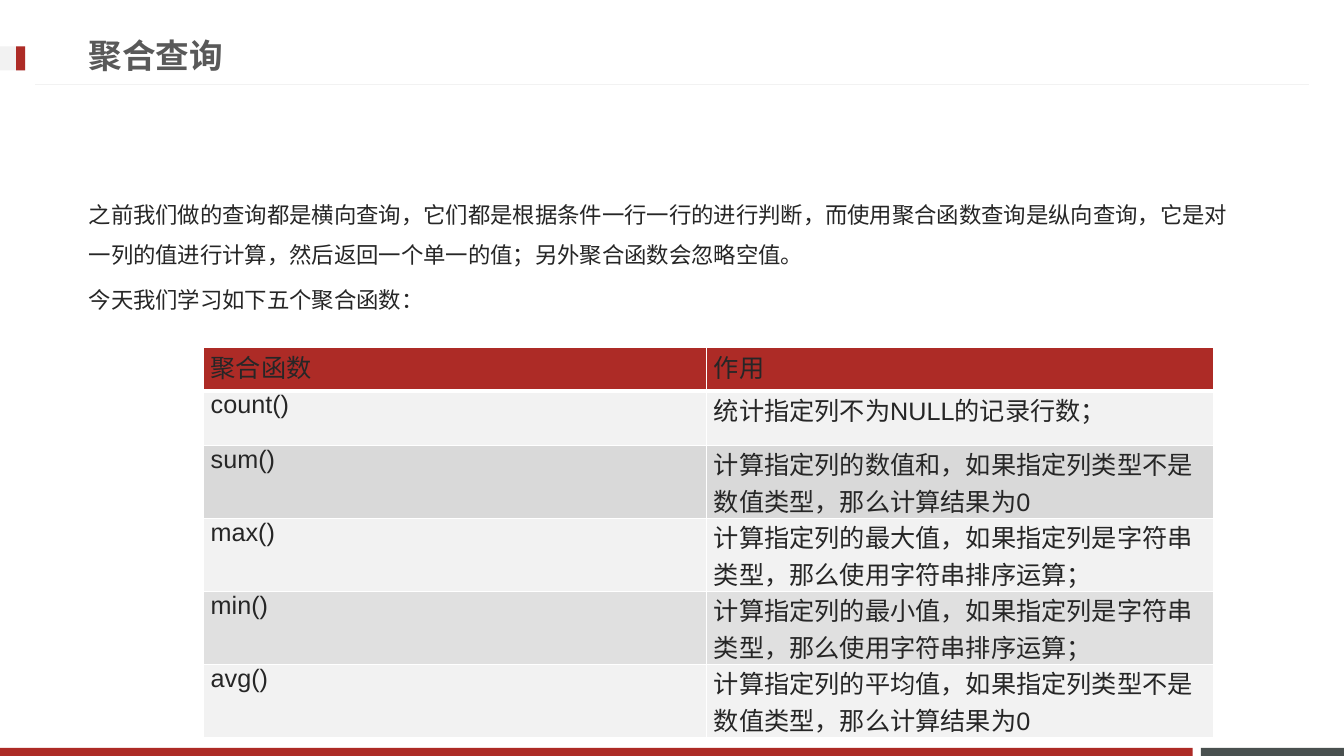
from dataclasses import dataclass

from lxml.etree import SubElement
from pptx import Presentation
from pptx.dml.color import RGBColor
from pptx.enum.lang import MSO_LANGUAGE_ID
from pptx.enum.shapes import MSO_CONNECTOR, MSO_SHAPE
from pptx.enum.text import MSO_ANCHOR, MSO_AUTO_SIZE, PP_ALIGN
from pptx.oxml.ns import qn
from pptx.util import Inches, Pt

WIDTH, HEIGHT = 13.33, 7.5


@dataclass(frozen=True)
class Theme:
    red: str = "AD2B26"
    slate: str = "49504F"
    pale: str = "F2F2F2"
    band: str = "D9D9D9"
    white: str = "FFFFFF"
    heading: str = "595959"
    text: str = "262626"
    latin: str = "Arial"
    cjk: str = "Noto Sans CJK JP"
    title_size: int = 24
    body_size: int = 16
    table_size: int = 18


THEME = Theme()

TITLE = "聚合查询"
BODY = [
    "之前我们做的查询都是横向查询，它们都是根据条件一行一行的进行判断，"
    "而使用聚合函数查询是纵向查询，它是对一列的值进行计算，"
    "然后返回一个单一的值；另外聚合函数会忽略空值。",
    "今天我们学习如下五个聚合函数：",
]
# Each row: function, purpose, fill, opacity in percent, height
FUNCTIONS = [
    ("聚合函数", "作用", THEME.red, 100, 0.43),
    ("count()", "统计指定列不为NULL的记录行数；", THEME.pale, 100, 0.54),
    ("sum()", "计算指定列的数值和，如果指定列类型不是数值类型，那么计算结果为0",
     THEME.band, 100, 0.54),
    ("max()", "计算指定列的最大值，如果指定列是字符串类型，那么使用字符串排序运算；",
     THEME.pale, 100, 0.54),
    ("min()", "计算指定列的最小值，如果指定列是字符串类型，那么使用字符串排序运算；",
     THEME.band, 80, 0.54),
    ("avg()", "计算指定列的平均值，如果指定列类型不是数值类型，那么计算结果为0",
     THEME.pale, 100, 0.43),
]
COLUMNS = (4.99, 5.03)


def rgb(color):
    return RGBColor.from_string(color)


def add_run(p, text, size, color, font, bold=False):
    r = p.add_run()
    r.text = text
    r.font.size, r.font.bold, r.font.name = Pt(size), bold, font
    r.font.color.rgb = rgb(color)
    r.font.language_id = MSO_LANGUAGE_ID.SIMPLIFIED_CHINESE
    SubElement(r._r.get_or_add_rPr(), qn("a:ea"), typeface=THEME.cjk)


def space_before(p, percent=20):
    p.space_before = Pt(0)
    spacing = p._p.pPr.find(qn("a:spcBef"))
    spacing.remove(spacing[0])
    SubElement(spacing, qn("a:spcPct"), val=str(percent * 1000))


def add_bar(s, left, top, width, height, color):
    sp = s.shapes.add_shape(MSO_SHAPE.RECTANGLE, *map(Inches, (left, top, width, height)))
    sp.shadow.inherit = False
    sp.fill.solid()
    sp.fill.fore_color.rgb = rgb(color)
    sp.line.fill.background()


def add_rule(s, left, right, y):
    line = s.shapes.add_connector(MSO_CONNECTOR.STRAIGHT, *map(Inches, (left, y, right, y)))
    line.line.color.rgb = rgb(THEME.pale)
    line.line.width = Pt(0.75)
    SubElement(line._element.spPr, qn("a:effectLst"))


def place(sp, left, top, width, height, anchor):
    sp.left, sp.top, sp.width, sp.height = map(Inches, (left, top, width, height))
    tf = sp.text_frame
    tf.word_wrap, tf.auto_size, tf.vertical_anchor = True, MSO_AUTO_SIZE.NONE, anchor
    return tf


def fill_title(sp):
    tf = place(sp, 0.78, 0.26, 9.59, 0.57, MSO_ANCHOR.MIDDLE)
    p = tf.paragraphs[0]
    p.alignment = PP_ALIGN.LEFT
    add_run(p, TITLE, THEME.title_size, THEME.heading, THEME.latin, bold=True)


def fill_body(sp):
    tf = place(sp, 0.78, 1.81, 11.7, 4.61, MSO_ANCHOR.TOP)
    for i, text in enumerate(BODY):
        p = tf.add_paragraph() if i else tf.paragraphs[0]
        p.line_spacing = 1.5
        space_before(p)
        pPr = p._p.get_or_add_pPr()
        pPr.set("marL", "0")
        pPr.set("indent", "0")
        SubElement(pPr, qn("a:buNone"))
        add_run(p, text, THEME.body_size, THEME.text, THEME.cjk)


def add_border(cell, side, width):
    ln = SubElement(cell._tc.get_or_add_tcPr(), qn(f"a:ln{side}"), w=str(Pt(width)))
    fill = SubElement(ln, qn("a:solidFill"))
    SubElement(fill, qn("a:srgbClr"), val=THEME.white)


def fill_cell(cell, text, color, opacity, widths):
    for side, width in widths.items():
        add_border(cell, side, width)
    cell.fill.solid()
    cell.fill.fore_color.rgb = rgb(color)
    if opacity < 100:
        clr = cell._tc.tcPr.find(qn("a:solidFill"))[0]
        SubElement(clr, qn("a:alpha"), val=str(opacity * 1000))
    cell.margin_left = cell.margin_right = Inches(0.07)
    cell.margin_top = cell.margin_bottom = 0
    p = cell.text_frame.paragraphs[0]
    space_before(p)
    add_run(p, text, THEME.table_size, THEME.text, THEME.latin)


def add_function_table(s):
    height = sum(row[-1] for row in FUNCTIONS)
    table = s.shapes.add_table(len(FUNCTIONS), len(COLUMNS), Inches(2.02), Inches(3.45),
                               Inches(sum(COLUMNS)), Inches(height)).table
    for column, width in zip(table.columns, COLUMNS):
        column.width = Inches(width)
    for i, (*texts, color, opacity, row_height) in enumerate(FUNCTIONS):
        table.rows[i].height = Inches(row_height)
        # A thicker line parts the header from the rows below
        widths = {"L": 1, "R": 1, "T": 3 if i == 1 else 1, "B": 3 if i == 0 else 1}
        for j, text in enumerate(texts):
            fill_cell(table.cell(i, j), text, color, opacity, widths)


def main():
    prs = Presentation()
    prs.slide_width, prs.slide_height = Inches(WIDTH), Inches(HEIGHT)
    s = prs.slides.add_slide(prs.slide_layouts[1])

    # Footer bars
    foot = 0.08
    add_bar(s, 11.91, HEIGHT - foot, WIDTH - 11.91, foot, THEME.slate)
    add_bar(s, 0, HEIGHT - foot, 11.83, foot, THEME.red)

    # Header rule and marker
    add_rule(s, 0.35, WIDTH - 0.35, 0.84)
    add_bar(s, 0, 0.46, 0.25, 0.24, THEME.pale)
    add_bar(s, 0.16, 0.46, 0.09, 0.24, THEME.red)

    # Title, explanation and table
    fill_title(s.shapes.title)
    fill_body(s.placeholders[1])
    add_function_table(s)

    prs.save("out.pptx")


if __name__ == "__main__":
    main()
